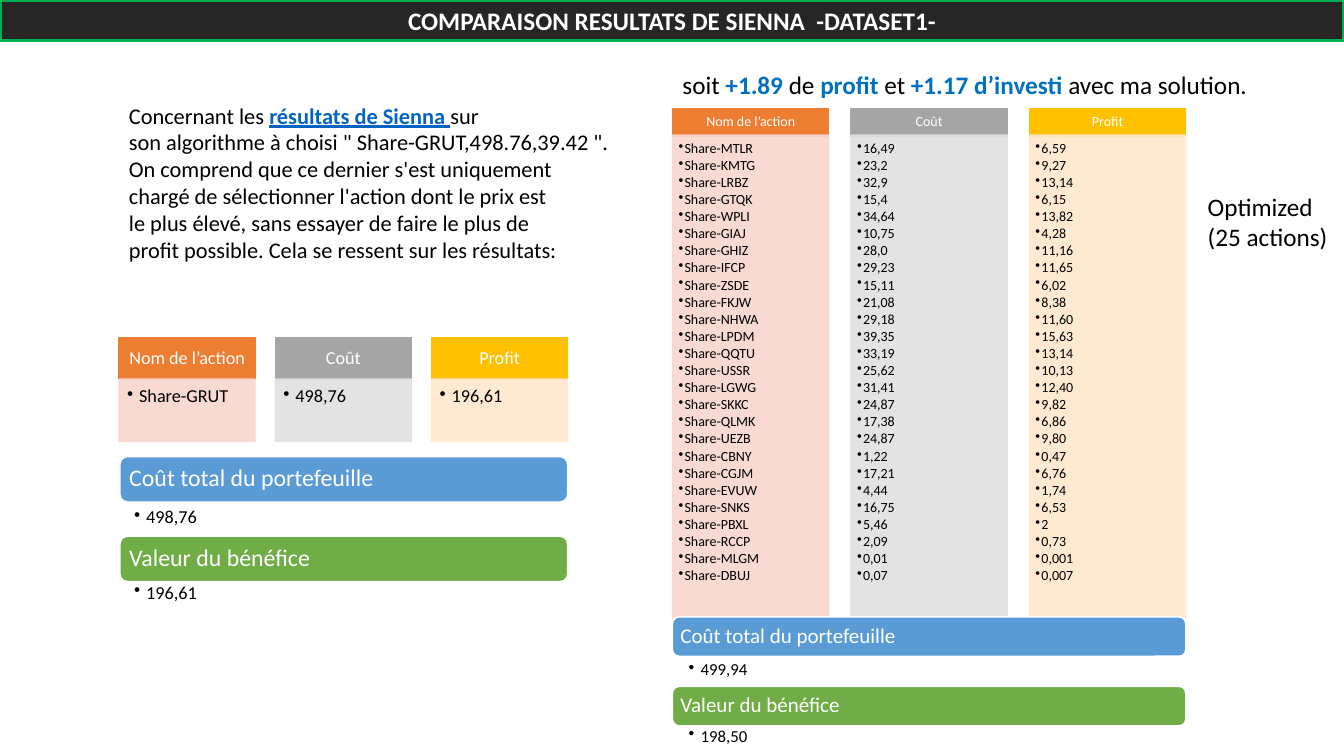
from dataclasses import dataclass

from lxml.etree import SubElement
from pptx import Presentation
from pptx.dml.color import RGBColor
from pptx.enum.shapes import MSO_SHAPE
from pptx.enum.text import MSO_ANCHOR, MSO_AUTO_SIZE, PP_ALIGN
from pptx.oxml.ns import qn
from pptx.util import Inches, Pt

FONT = "Calibri"
COLORS = {
    "white": "FFFFFF", "black": "000000", "dark": "262626", "frame": "00B050",
    "link": "0563C1", "accent": "0070C0", "blue": "5B9BD5", "green": "70AD47",
    "orange": "ED7D31", "gray": "A5A5A5", "gold": "FFC000",
    "pale orange": "F8D7CE", "pale gray": "E1E1E1", "pale gold": "FFE8CC",
}
COLUMN_STYLES = [
    ("Nom de l’action", "orange", "pale orange"),
    ("Coût", "gray", "pale gray"),
    ("Profit", "gold", "pale gold"),
]
TOTAL_STYLES = [("Coût total du portefeuille", "blue"), ("Valeur du bénéfice", "green")]
SIENNA_SHARES = [("Share-GRUT", "498,76", "196,61")]
OPTIMIZED_SHARES = [
    ("Share-MTLR", "16,49", "6,59"), ("Share-KMTG", "23,2", "9,27"),
    ("Share-LRBZ", "32,9", "13,14"), ("Share-GTQK", "15,4", "6,15"),
    ("Share-WPLI", "34,64", "13,82"), ("Share-GIAJ", "10,75", "4,28"),
    ("Share-GHIZ", "28,0", "11,16"), ("Share-IFCP", "29,23", "11,65"),
    ("Share-ZSDE", "15,11", "6,02"), ("Share-FKJW", "21,08", "8,38"),
    ("Share-NHWA", "29,18", "11,60"), ("Share-LPDM", "39,35", "15,63"),
    ("Share-QQTU", "33,19", "13,14"), ("Share-USSR", "25,62", "10,13"),
    ("Share-LGWG", "31,41", "12,40"), ("Share-SKKC", "24,87", "9,82"),
    ("Share-QLMK", "17,38", "6,86"), ("Share-UEZB", "24,87", "9,80"),
    ("Share-CBNY", "1,22", "0,47"), ("Share-CGJM", "17,21", "6,76"),
    ("Share-EVUW", "4,44", "1,74"), ("Share-SNKS", "16,75", "6,53"),
    ("Share-PBXL", "5,46", "2"), ("Share-RCCP", "2,09", "0,73"),
    ("Share-MLGM", "0,01", "0,001"), ("Share-DBUJ", "0,07", "0,007"),
]


@dataclass
class Run:
    text: str
    color: str = "black"
    bold: bool = False
    underline: bool = False


@dataclass
class TextStyle:
    size: float
    color: str = "black"
    margins: tuple = (0.1, 0.05, 0.1, 0.05)
    anchor: MSO_ANCHOR = MSO_ANCHOR.TOP
    align: PP_ALIGN = PP_ALIGN.LEFT
    spacing: float = 1.0
    after: float = 0
    indent: float = 0


@dataclass
class Columns:
    left: float
    top: float
    width: float
    pitch: float
    head_height: float
    body_top: float
    body_height: float
    rows: list
    head: TextStyle
    body: TextStyle


@dataclass
class Total:
    bar_top: float
    value_top: float
    value: str


@dataclass
class Totals:
    left: float
    width: float
    bar_height: float
    value_height: float
    items: list
    bar: TextStyle
    value: TextStyle


def rgb(name: str) -> RGBColor:
    return RGBColor.from_string(COLORS[name])


def write(sp, paragraphs: list, st: TextStyle) -> None:
    """Fill a shape with paragraphs, each a string or a list of runs."""
    tf = sp.text_frame
    sides = ("margin_left", "margin_top", "margin_right", "margin_bottom")
    frame = {side: Inches(m) for side, m in zip(sides, st.margins)}
    frame |= {"word_wrap": True, "auto_size": MSO_AUTO_SIZE.NONE, "vertical_anchor": st.anchor}
    for key, value in frame.items():
        setattr(tf, key, value)
    for i, content in enumerate(paragraphs):
        p = tf.paragraphs[0] if i == 0 else tf.add_paragraph()
        layout = {"alignment": st.align, "line_spacing": st.spacing,
                  "space_before": Pt(0), "space_after": Pt(st.after)}
        for key, value in layout.items():
            setattr(p, key, value)
        if st.indent:
            add_bullet(p, st.indent)
        runs = [Run(content, st.color)] if isinstance(content, str) else content
        for item in runs:
            r = p.add_run()
            r.text = item.text
            font = {"name": FONT, "size": Pt(st.size), "bold": item.bold,
                    "underline": item.underline}
            for key, value in font.items():
                setattr(r.font, key, value)
            r.font.color.rgb = rgb(item.color)


def add_bullet(p, indent: float) -> None:
    p.level = 1
    pPr = p._p.get_or_add_pPr()
    pPr.set("marL", str(Inches(indent)))
    pPr.set("indent", str(-Inches(indent)))
    SubElement(pPr, qn("a:buChar")).set("char", "•")


def paint(sp, fill: str, line: str, width: float = 1, alpha: int = 100) -> None:
    sp.fill.solid()
    sp.fill.fore_color.rgb = rgb(fill)
    sp.line.color.rgb = rgb(line)
    sp.line.width = Pt(width)
    if alpha < 100:
        for color in sp._element.spPr.iter(qn("a:srgbClr")):
            SubElement(color, qn("a:alpha")).set("val", str(alpha * 1000))


def add_box(slide, kind, box: tuple, fill: str, line: str, alpha: int = 100):
    sp = slide.shapes.add_shape(kind, *map(Inches, box))
    sp.shadow.inherit = False
    paint(sp, fill, line, alpha=alpha)
    return sp


def add_text(slide, box: tuple, paragraphs: list, st: TextStyle) -> None:
    write(slide.shapes.add_textbox(*map(Inches, box)), paragraphs, st)


def add_columns(slide, c: Columns) -> None:
    for i, (label, strong, pale) in enumerate(COLUMN_STYLES):
        x = c.left + i * c.pitch
        head = add_box(slide, MSO_SHAPE.RECTANGLE, (x, c.top, c.width, c.head_height),
                       strong, strong)
        write(head, [label], c.head)
        body = add_box(slide, MSO_SHAPE.RECTANGLE, (x, c.body_top, c.width, c.body_height),
                       pale, pale, alpha=90)
        write(body, [row[i] for row in c.rows], c.body)


def add_totals(slide, t: Totals) -> None:
    for (label, color), item in zip(TOTAL_STYLES, t.items):
        bar = add_box(slide, MSO_SHAPE.ROUNDED_RECTANGLE,
                      (t.left, item.bar_top, t.width, t.bar_height), color, "white")
        write(bar, [label], t.bar)
        add_text(slide, (t.left, item.value_top, t.width, t.value_height), [item.value], t.value)


def head_style(size: float, mx: float, my: float) -> TextStyle:
    return TextStyle(size, "white", (mx, my, mx, my), MSO_ANCHOR.MIDDLE, PP_ALIGN.CENTER, 0.9)


def bar_style(size: float, margin: float) -> TextStyle:
    return TextStyle(size, "white", (margin,) * 4, MSO_ANCHOR.MIDDLE, spacing=0.9)


def main() -> None:
    prs = Presentation()
    prs.slide_width, prs.slide_height = Inches(13.33), Inches(7.5)
    slide = prs.slides.add_slide(prs.slide_layouts[5])

    title = slide.shapes.title
    title.left, title.top, title.width, title.height = map(Inches, (0, 0, 13.33, 0.4))
    paint(title, "dark", "frame", 2.25)
    write(title, [[Run("COMPARAISON RESULTATS DE SIENNA  -DATASET1-", "white", True)]],
          TextStyle(18, anchor=MSO_ANCHOR.MIDDLE, align=PP_ALIGN.CENTER))

    add_text(slide, (1.18, 0.96, 5.09, 2.52), [
        [Run("Concernant les "), Run("résultats de Sienna ", "link", True, True), Run("sur")],
        "son algorithme à choisi \" Share-GRUT,498.76,39.42 \". "
        "On comprend que ce dernier s'est uniquement",
        "chargé de sélectionner l'action dont le prix est",
        "le plus élevé, sans essayer de faire le plus de",
        "profit possible. Cela se ressent sur les résultats:",
    ], TextStyle(16))
    add_columns(slide, Columns(
        1.18, 3.35, 1.35, 1.55, 0.41, 3.76, 0.62, SIENNA_SHARES, head_style(13, 0.1, 0.06),
        TextStyle(13, margins=(0.08, 0.08, 0.1, 0.11), spacing=0.9, indent=0.12)))
    add_totals(slide, Totals(
        1.19, 4.44, 0.45, 0.31, [Total(4.53, 5.02, "498,76"), Total(5.32, 5.77, "196,61")],
        bar_style(17, 0.07),
        TextStyle(13, margins=(0.14, 0.02, 0.13, 0.02), spacing=0.9, indent=0.12)))

    add_text(slide, (6.67, 0.64, 6.37, 0.71), [[
        Run("soit "), Run("+1.89 ", "accent", True), Run("de "), Run("profit", "accent", True),
        Run(" et "), Run("+1.17 d’investi ", "accent", True), Run("avec ma solution."),
    ]], TextStyle(18))
    add_columns(slide, Columns(
        6.67, 1.08, 1.55, 1.77, 0.27, 1.34, 4.8, OPTIMIZED_SHARES, head_style(10, 0.08, 0.04),
        TextStyle(10, margins=(0.06, 0.06, 0.08, 0.09), spacing=0.9, after=1.4, indent=0.06)))
    add_totals(slide, Totals(
        6.67, 5.09, 0.39, 0.27, [Total(6.12, 6.54, "499,94"), Total(6.81, 7.2, "198,50")],
        bar_style(15, 0.06),
        TextStyle(12, margins=(0.16, 0.02, 0.12, 0.02), spacing=0.9, indent=0.12)))
    add_text(slide, (11.88, 1.85, 1.45, 0.71), ["Optimized (25 actions)"], TextStyle(18))

    prs.save("out.pptx")


if __name__ == "__main__":
    main()
